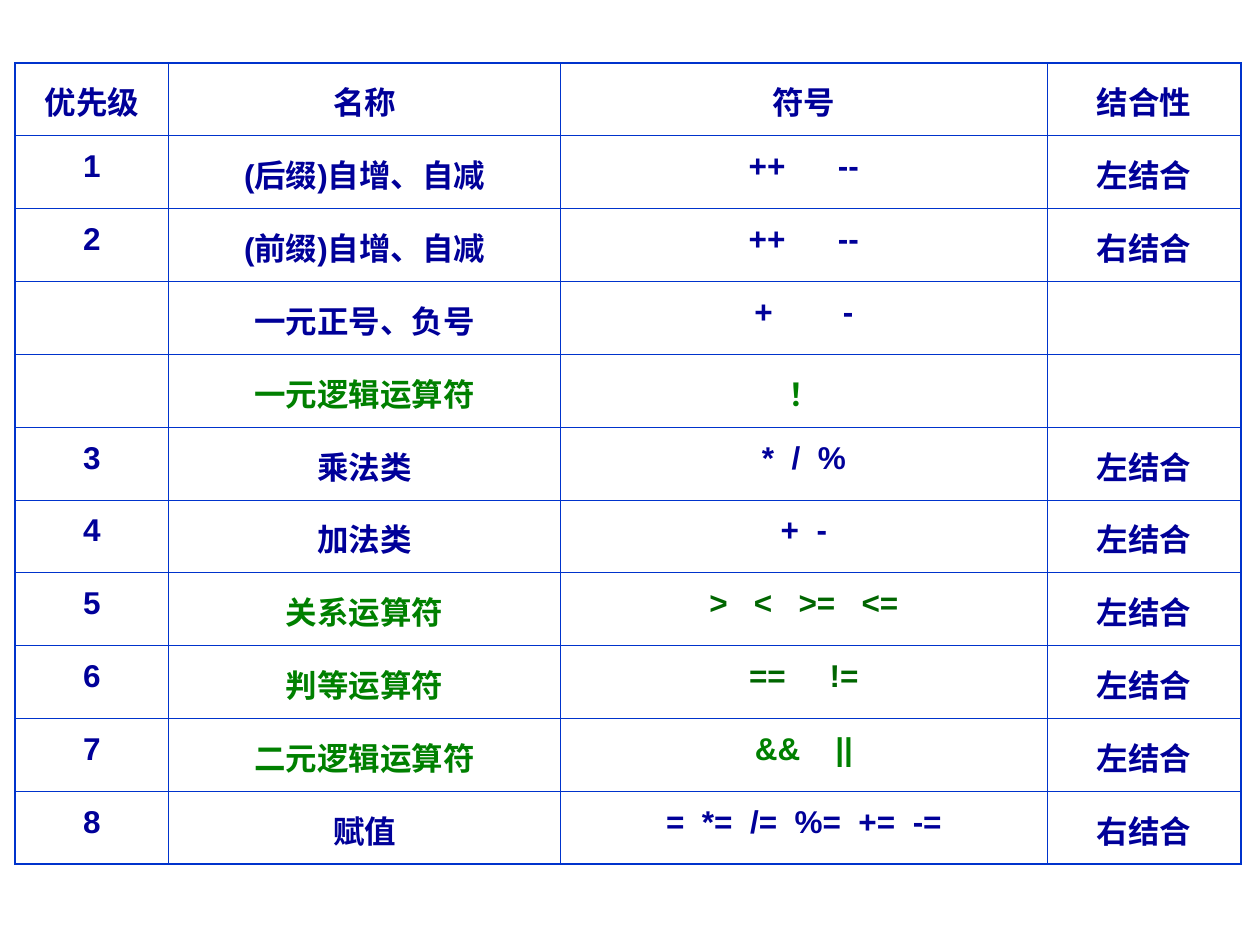
from lxml.etree import SubElement
from pptx import Presentation
from pptx.dml.color import RGBColor
from pptx.enum.text import MSO_ANCHOR, PP_ALIGN
from pptx.oxml.ns import qn
from pptx.util import Pt

COLORS = {"navy": "000099", "green": "008000", "dark": "006600", "grid": "0033CC"}
THIN, THICK = 0.45, 1.08
SPACE_WIDTH = 5  # one Arial space at 18 pt
COLUMN_WIDTHS = [87.84, 223.92, 277.92, 110.88]
ROW_HEIGHT = 41.62
HEADINGS = ["优先级", "名称", "符号", "结合性"]

# level, name, name colour, symbols, gap in spaces, symbol colour, associativity
OPERATORS = [
    ("1", "(后缀)自增、自减", "navy", "++ --", 6, "navy", "左结合"),
    ("2", "(前缀)自增、自减", "navy", "++ --", 6, "navy", "右结合"),
    ("", "一元正号、负号", "navy", "+ -", 8, "navy", ""),
    ("", "一元逻辑运算符", "green", "！", 1, "green", ""),
    ("3", "乘法类", "navy", "* / %", 2, "navy", "左结合"),
    ("4", "加法类", "navy", "+ -", 2, "navy", "左结合"),
    ("5", "关系运算符", "green", "> < >= <=", 3, "dark", "左结合"),
    ("6", "判等运算符", "green", "== !=", 5, "dark", "左结合"),
    ("7", "二元逻辑运算符", "green", "&& ||", 4, "green", "左结合"),
    ("8", "赋值", "navy", "= *= /= %= += -=", 2, "navy", "右结合"),
]
PARAGRAPH_FORMAT = {"alignment": PP_ALIGN.CENTER, "line_spacing": 1.2, "space_before": Pt(6.8)}
FONT_FORMAT = {"name": "Arial", "size": Pt(18), "bold": True}


def write_cell(cell, text, color, gap=1):
    """Write centred text, widening each space between words to gap spaces."""
    cell.vertical_anchor = MSO_ANCHOR.TOP
    paragraph = cell.text_frame.paragraphs[0]
    for key, value in PARAGRAPH_FORMAT.items():
        setattr(paragraph, key, value)
    for key, value in FONT_FORMAT.items():
        setattr(paragraph.font, key, value)
    for index, word in enumerate(text.split()):
        for piece in ([" "] if index else []) + [word]:
            run = paragraph.add_run()
            run.text = piece
            for key, value in FONT_FORMAT.items():
                setattr(run.font, key, value)
            run.font.color.rgb = RGBColor.from_string(COLORS[color])
            if piece == " ":
                run.font._element.set("spc", str((gap - 1) * SPACE_WIDTH * 100))


def draw_borders(cell, widths):
    properties = cell._tc.get_or_add_tcPr()
    for side, width in widths.items():
        line = SubElement(properties, qn(f"a:ln{side}"), w=str(int(Pt(width))))
        fill = SubElement(line, qn("a:solidFill"))
        SubElement(fill, qn("a:srgbClr"), val=COLORS["grid"])


presentation = Presentation()
presentation.slide_width, presentation.slide_height = Pt(720), Pt(540)
slide = presentation.slides.add_slide(presentation.slide_layouts[6])

row_count, column_count = len(OPERATORS) + 1, len(HEADINGS)
precedence = slide.shapes.add_table(
    row_count, column_count, Pt(8.64), Pt(36),
    Pt(sum(COLUMN_WIDTHS)), Pt(ROW_HEIGHT * row_count),
).table
precedence.first_row = precedence.horz_banding = False
for column, width in zip(precedence.columns, COLUMN_WIDTHS):
    column.width = Pt(width)
for row in precedence.rows:
    row.height = Pt(ROW_HEIGHT)

for column, heading in enumerate(HEADINGS):
    write_cell(precedence.cell(0, column), heading, "navy")

for row, operator in enumerate(OPERATORS, start=1):
    level, name, name_color, symbols, gap, symbol_color, associativity = operator
    write_cell(precedence.cell(row, 0), level, "navy")
    write_cell(precedence.cell(row, 1), name, name_color)
    write_cell(precedence.cell(row, 2), symbols, symbol_color, gap)
    write_cell(precedence.cell(row, 3), associativity, "navy")

for row in range(row_count):
    for column in range(column_count):
        cell = precedence.cell(row, column)
        draw_borders(cell, {
            "L": THICK if column == 0 else THIN,
            "R": THICK if column == column_count - 1 else THIN,
            "T": THICK if row == 0 else THIN,
            "B": THICK if row == row_count - 1 else THIN,
        })
        cell.fill.background()

presentation.save("out.pptx")
